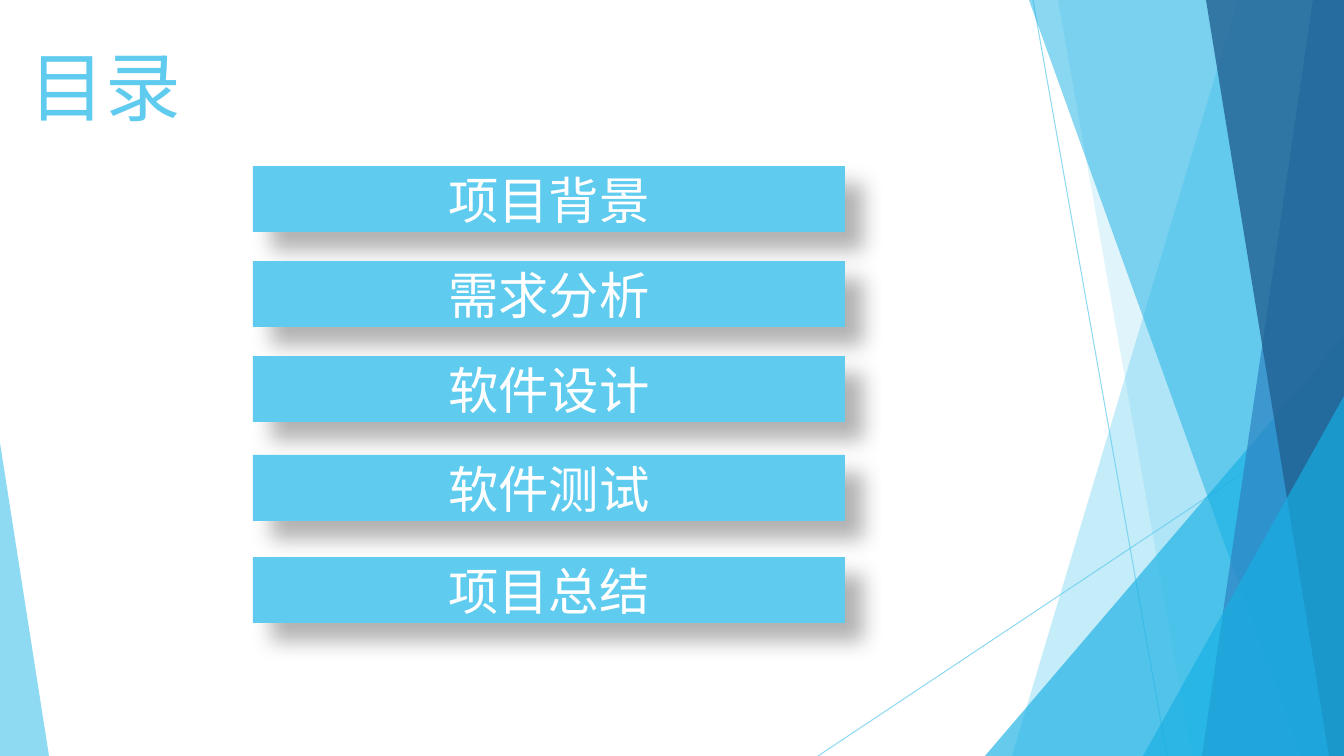
"""Build the contents slide with five topic bars and a faceted border."""
from lxml import etree
from pptx import Presentation
from pptx.dml.color import RGBColor
from pptx.enum.shapes import MSO_CONNECTOR, MSO_SHAPE
from pptx.enum.text import MSO_ANCHOR, PP_ALIGN
from pptx.oxml.ns import qn
from pptx.util import Pt

LINE = MSO_CONNECTOR.STRAIGHT
RECT = MSO_SHAPE.RECTANGLE
TRI = MSO_SHAPE.ISOSCELES_TRIANGLE
BOTTOM, MIDDLE = MSO_ANCHOR.BOTTOM, MSO_ANCHOR.MIDDLE
CENTER = PP_ALIGN.CENTER
SCALE = 914400 / 100.8
WIDE, HIGH = 1344, 756
FONT = "Roboto"
SKY, CYAN, BLUE, NAVY = "5FCBEF", "17B0E4", "2E83C3", "226292"
WHITE, BLACK = "FFFFFF", "000000"


def px(*vals):
    """Turn pixel lengths into EMU."""
    return [round(val * SCALE) for val in vals]


def paint(fill, tone, part=None, alpha=100):
    """Fill with a hex colour and make the part see-through if asked."""
    fill.solid()
    fill.fore_color.rgb = RGBColor.from_string(tone)
    if alpha < 100:
        node = part._element.spPr.find(".//" + qn("a:srgbClr"))
        etree.SubElement(node, qn("a:alpha")).set("val", str(alpha * 1000))


prs = Presentation()
prs.slide_width, prs.slide_height = px(WIDE, HIGH)
slide = prs.slides.add_slide(prs.slide_layouts[6])
shapes = slide.shapes

for ends in [(1033, 0, 1167, HIGH), (WIDE, 406, 818, HIGH)]:
    ray = shapes.add_connector(LINE, *px(*ends))
    ray.line.width = Pt(0.75)
    paint(ray.line.fill, SKY, ray, 70)
    etree.SubElement(ray._element.spPr, qn("a:effectLst"))

# Two numbers give the top and bottom of a left edge; five give a box and apex.
facets = [
    ((1238, 1012), SKY, 36),
    ((1058, 1192), SKY, 20),
    ((985, 336, 359, 420, 1), CYAN, 66),
    ((1029, 1301), CYAN, 50),
    ((1313, 1202), BLUE, 70),
    ((1206, 1329), NAVY, 80),
    ((1143, 396, 201, 360, 1), CYAN, 66),
    ((0, 443, 49, 313, 0), SKY, 70),
]
for form, tone, alpha in facets:
    if len(form) == 2:
        top, base = form
        path = shapes.build_freeform(top, 0, SCALE)
        path.add_line_segments([(WIDE, 0), (WIDE, HIGH), (base, HIGH)])
        facet = path.convert_to_shape()
    else:
        facet = shapes.add_shape(TRI, *px(*form[:4]))
        facet.adjustments[0] = form[4]
    facet.shadow.inherit = False
    facet.line.fill.background()
    paint(facet.fill, tone, facet, alpha)

title = shapes.add_textbox(*px(20, 27, 201, 109))
frame = title.text_frame
frame.word_wrap = True
frame.vertical_anchor = BOTTOM
frame.text = "目录"
font = frame.paragraphs[0].runs[0].font
font.name, font.size = FONT, Pt(54)
paint(font.fill, SKY)

topics = [
    ("项目背景", 166),
    ("需求分析", 261),
    ("软件设计", 356),
    ("软件测试", 455),
    ("项目总结", 557),
]
for text, top in topics:
    bar = shapes.add_shape(RECT, *px(253, top, 592, 66))
    bar.shadow.inherit = False
    bar.line.fill.background()
    paint(bar.fill, SKY)
    glow = etree.SubElement(
        bar._element.spPr.find(qn("a:effectLst")), qn("a:outerShdw"),
        blurRad=str(Pt(15)), dist=str(Pt(18)), dir="2700000",
        algn="tl", rotWithShape="0")
    shade = etree.SubElement(glow, qn("a:srgbClr"), val=BLACK)
    etree.SubElement(shade, qn("a:alpha"), val="30000")
    frame = bar.text_frame
    frame.vertical_anchor = MIDDLE
    frame.text = text
    line = frame.paragraphs[0]
    line.alignment = CENTER
    font = line.runs[0].font
    font.name, font.size = FONT, Pt(36)
    paint(font.fill, WHITE)

prs.save("out.pptx")
